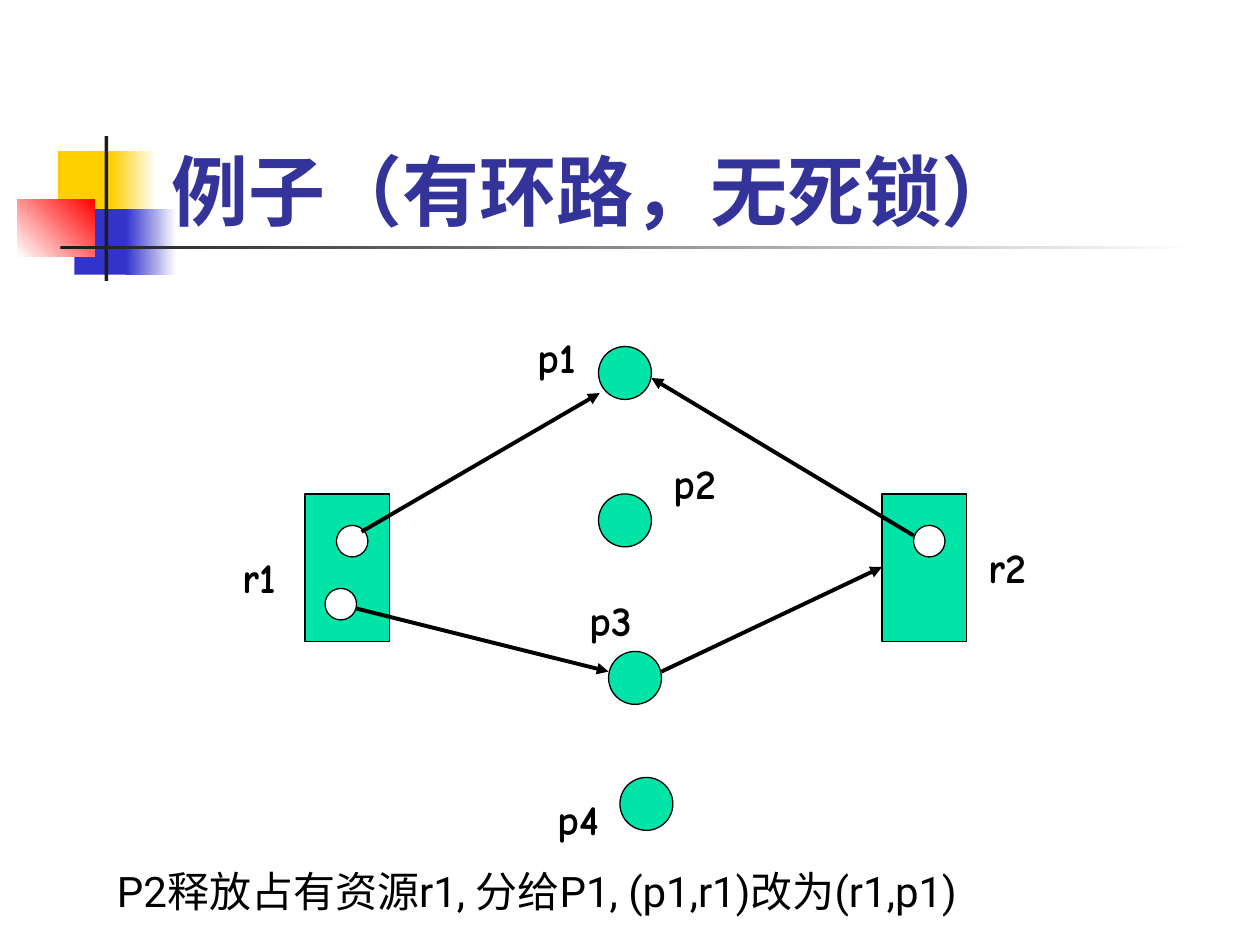
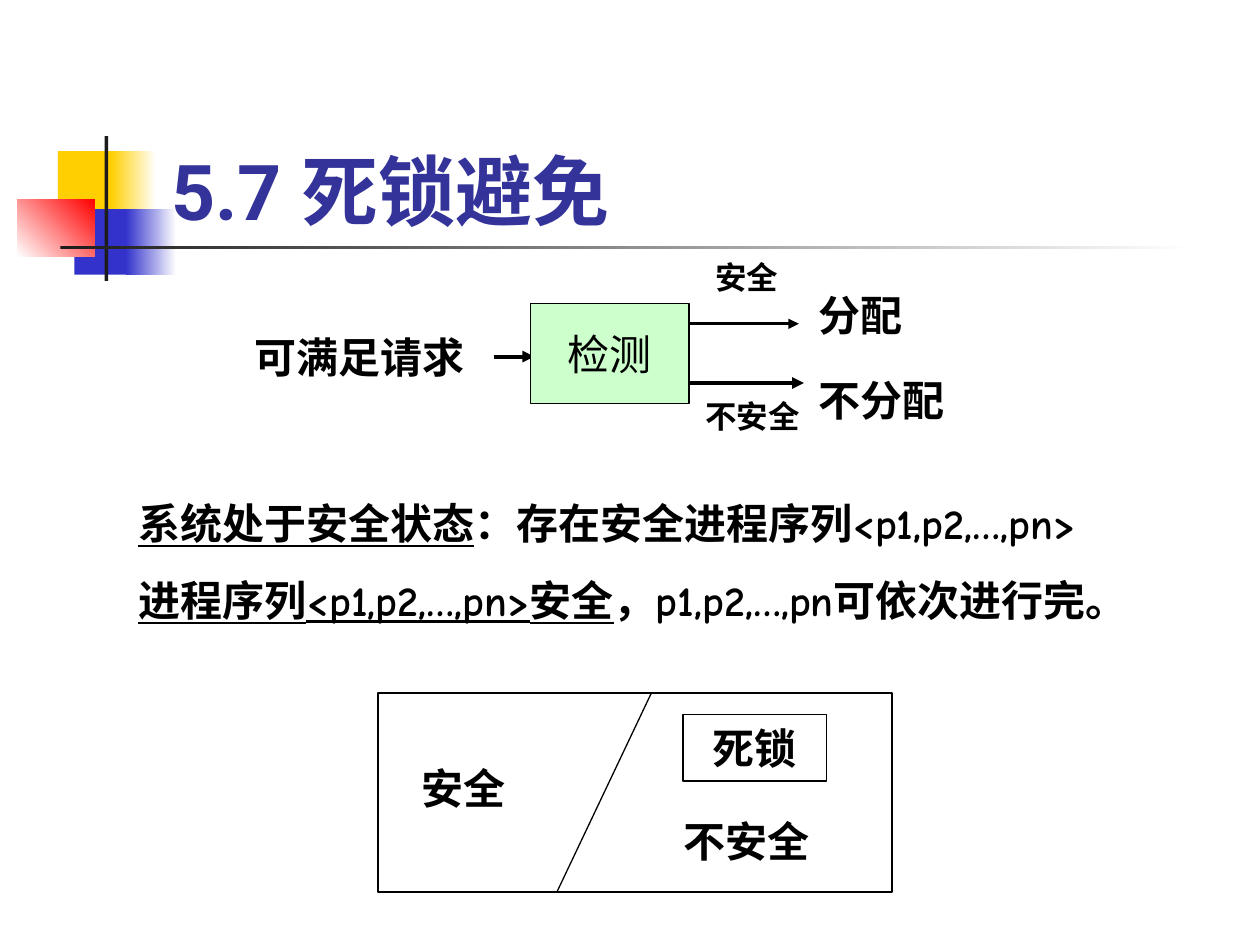
from lxml import etree
from pptx import Presentation
from pptx.dml.color import RGBColor
from pptx.enum.shapes import MSO_CONNECTOR, MSO_SHAPE
from pptx.enum.text import MSO_ANCHOR, MSO_AUTO_SIZE, PP_ALIGN
from pptx.oxml.ns import qn
from pptx.util import Inches, Pt

RECT, OVAL = MSO_SHAPE.RECTANGLE, MSO_SHAPE.OVAL
LINE = MSO_CONNECTOR.STRAIGHT
TOP, MID, LOW = MSO_ANCHOR.TOP, MSO_ANCHOR.MIDDLE, MSO_ANCHOR.BOTTOM
LEFT, CENTER = PP_ALIGN.LEFT, PP_ALIGN.CENTER
FIXED = MSO_AUTO_SIZE.NONE

BLACK = RGBColor(0x00, 0x00, 0x00)
WHITE = RGBColor(0xFF, 0xFF, 0xFF)
INK = RGBColor(0x1C, 0x1C, 0x1C)
GOLD = RGBColor(0xFF, 0xCF, 0x01)
BLUE = RGBColor(0x33, 0x33, 0xCC)
RED = RGBColor(0xFF, 0x00, 0x00)
NAVY = RGBColor(0x33, 0x33, 0x99)
GREEN = RGBColor(0x00, 0xE4, 0xA8)
PALE = RGBColor(0xCC, 0xFF, 0xCC)

ROBOTO, COMIC, TIMES = "Roboto", "Comic Neue", "Times New Roman"


def form(slide, at, text="", font=TIMES, size=24, bold=True, kind=None, fill=WHITE):
    """Add an outlined shape of the given kind, or a plain text box without one."""
    box = [Inches(v) for v in at]
    if kind is None:
        shape = slide.shapes.add_textbox(*box)
    else:
        shape = slide.shapes.add_shape(kind, *box)
        shape.shadow.inherit = False
        shape.fill.solid()
        shape.fill.fore_color.rgb = fill
        shape.line.color.rgb = BLACK
        shape.line.width = Pt(0.75)
    if text:
        frame = shape.text_frame
        frame.word_wrap = True
        frame.vertical_anchor = TOP if kind is None else MID
        frame.text = text
        para = frame.paragraphs[0]
        para.alignment = LEFT if kind is None else CENTER
        face = para.runs[0].font
        face.name, face.size, face.bold = font, Pt(size), bold
        face.color.rgb = BLACK
    return shape


def link(slide, start, end, width=2.25, head=True):
    """Add a straight line, with an arrowhead at its end if wanted."""
    line = slide.shapes.add_connector(LINE, *[Inches(v) for v in (*start, *end)])
    line.line.color.rgb = BLACK
    line.line.width = Pt(width)
    if head:
        tip = etree.SubElement(line.line._get_or_add_ln(), qn("a:tailEnd"))
        tip.set("type", "triangle")
    etree.SubElement(line._element.spPr, qn("a:effectLst"))


prs = Presentation()
prs.slide_width, prs.slide_height = Inches(10), Inches(7.5)
layout = prs.slide_layouts[5]

# Title and shared look
slides = []
for text in ("例子（有环路，无死锁）", "5.7 死锁避免"):
    slide = prs.slides.add_slide(layout)
    title = slide.shapes.title
    title.left, title.top = Inches(1.26), Inches(0.67)
    title.width, title.height = Inches(8.52), Inches(1.25)
    frame = title.text_frame
    frame.text = text
    frame.word_wrap = True
    frame.auto_size = FIXED
    frame.vertical_anchor = LOW
    para = frame.paragraphs[0]
    para.alignment = LEFT
    face = para.runs[0].font
    face.name, face.size, face.bold = ROBOTO, Pt(44), True
    face.color.rgb = NAVY
    slides.append(slide)
graph, avoid = slides

# Bands live on the layout, behind the titles: place, colours, angle
bands = [
    ((0.46, 1.2, 0.48, 0.52), [GOLD], 0),
    ((0.88, 1.2, 0.36, 0.52), [GOLD, WHITE], 0),
    ((0.59, 1.66, 0.46, 0.52), [BLUE], 0),
    ((1, 1.66, 0.4, 0.52), [BLUE, WHITE], 0),
    ((0.14, 1.58, 0.61, 0.46), [WHITE, RED], 45),
    ((0.83, 1.08, 0.03, 1.15), [INK], 0),
    ((0.48, 1.95, 9, 0.03), [INK, WHITE], 0),
]
for spot, (at, tones, angle) in enumerate(bands):
    band = form(graph, at, kind=RECT, fill=tones[0])
    band.line.fill.background()
    if len(tones) > 1:
        band.fill.gradient()
        band.fill.gradient_angle = angle
        for stop, tone in zip(band.fill.gradient_stops, tones):
            stop.color.rgb = tone
    layout.shapes._spTree.insert(2 + spot, band._element)

# Slide 1: resource graph
for left, dots in ((2.42, [(2.67, 4.17), (2.58, 4.67)]), (7, [(7.25, 4.17)])):
    form(graph, (left, 3.92, 0.67, 1.17), kind=RECT, fill=GREEN)
    for x, y in dots:
        form(graph, (x, y, 0.25, 0.25), kind=OVAL)
for x, y in ((4.75, 2.75), (4.75, 3.92), (4.83, 5.17), (4.92, 6.17)):
    form(graph, (x, y, 0.42, 0.42), kind=OVAL, fill=GREEN)

names = {
    "p1": (4.17, 2.58), "p2": (5.25, 3.58), "p3": (4.58, 4.67),
    "p4": (4.33, 6.25), "r1": (1.83, 4.33), "r2": (7.75, 4.25),
}
for name, (x, y) in names.items():
    form(graph, (x, y, 0.67, 0.5), name, COMIC)

for start, end in (
    ((7.25, 4.25), (5.17, 3)),
    ((2.83, 4.83), (4.83, 5.33)),
    ((2.87, 4.22), (4.76, 3.12)),
    ((5.25, 5.33), (7, 4.5)),
):
    link(graph, start, end)
form(graph, (0.83, 6.82, 8.35, 0.5),
     "P2释放占有资源r1, 分给P1, (p1,r1)改为(r1,p1)", ROBOTO, bold=False)

# Slide 2: check of a request
link(avoid, (3.92, 2.83), (4.24, 2.83))
link(avoid, (5.47, 3.04), (6.38, 3.04))
link(avoid, (5.47, 2.57), (6.34, 2.57), 1.5)
form(avoid, (4.21, 2.41, 1.26, 0.79), "检测", ROBOTO, bold=False, kind=RECT, fill=PALE)
for at, text, size in (
    ((1.92, 2.58, 2, 0.5), "可满足请求", 24),
    ((6.4, 2.25, 1.08, 0.5), "分配", 24),
    ((6.4, 2.92, 1.35, 0.5), "不分配", 24),
    ((5.58, 2, 1.08, 0.4), "安全", 18),
    ((5.5, 3.1, 1.08, 0.4), "不安全", 18),
):
    form(avoid, at, text, size=size)

# Slide 2: definitions, each an underlined term and its meaning
terms = [
    ("系统处于安全状态", "：存在安全进程序列<p1,p2,…,pn>"),
    ("进程序列<p1,p2,…,pn>安全", "，p1,p2,…,pn可依次进行完。"),
]
frame = form(avoid, (1, 3.9, 8.17, 1.11)).text_frame
frame.word_wrap = True
for row, parts in enumerate(terms):
    para = frame.add_paragraph() if row else frame.paragraphs[0]
    if row:
        para.space_before = Pt(15)
    for part, under in zip(parts, (True, False)):
        run = para.add_run()
        run.text = part
        face = run.font
        face.name, face.size, face.bold = COMIC, Pt(24), True
        face.underline = under
        face.color.rgb = BLACK

# Slide 2: map of states
form(avoid, (3, 5.5, 4.08, 1.58), kind=RECT)
link(avoid, (5.17, 5.5), (4.42, 7.08), 0.75, head=False)
form(avoid, (3.25, 6, 1, 0.5), "安全")
form(avoid, (5.33, 6.42, 1.33, 0.5), "不安全")
form(avoid, (5.42, 5.67, 1.14, 0.53), "死锁", kind=RECT)

prs.save("out.pptx")
